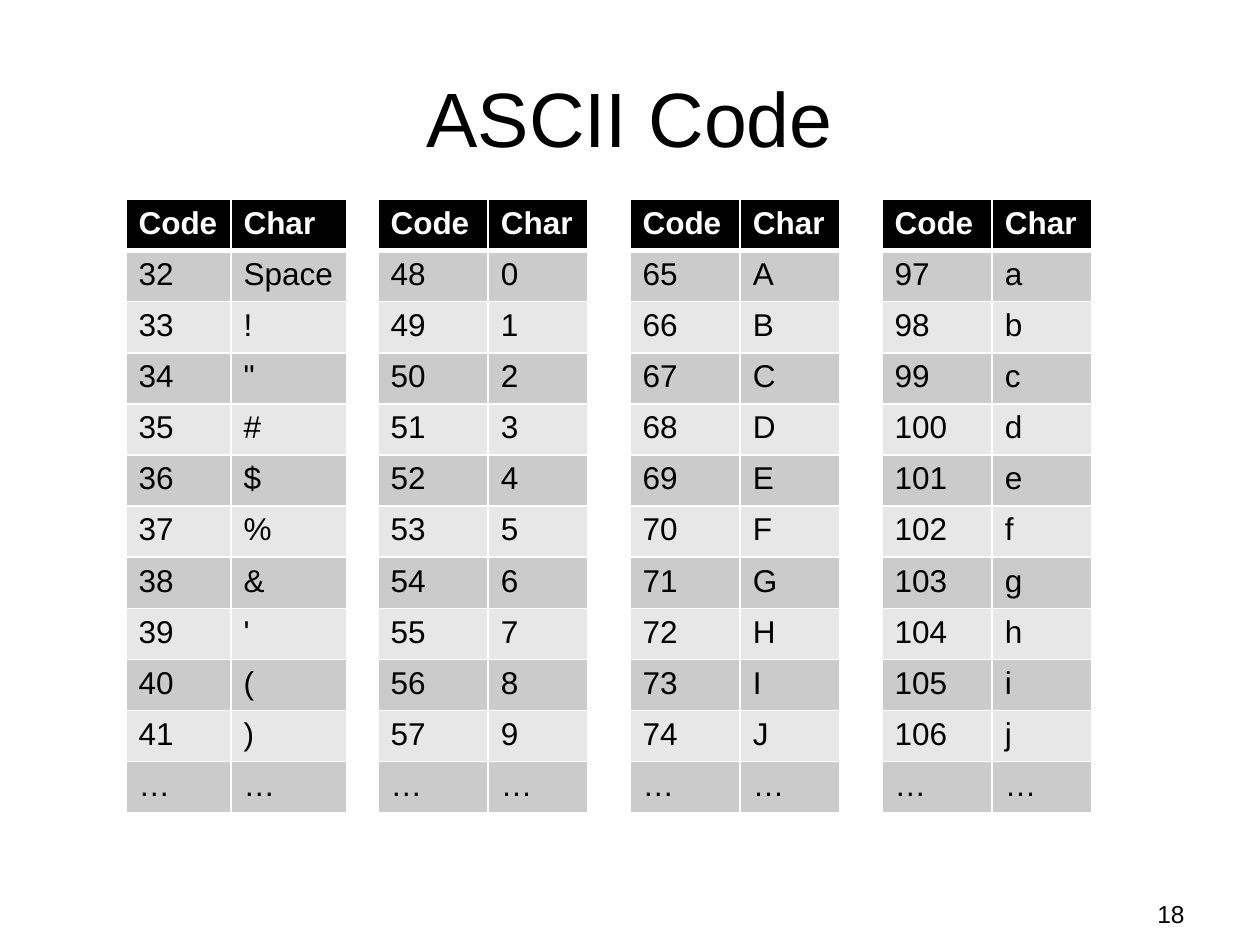
from dataclasses import dataclass
from lxml.etree import SubElement
from pptx import Presentation
from pptx.dml.color import RGBColor
from pptx.enum.text import MSO_ANCHOR, PP_ALIGN
from pptx.oxml.ns import qn
from pptx.util import Pt


@dataclass(frozen=True)
class Theme:
    font: str = "Arial"
    ink: str = "000000"
    paper: str = "FFFFFF"
    bands: tuple = ("CBCBCB", "E7E7E7")
    title: int = 44
    body: int = 18
    number: int = 14
    rule: int = 1
    head_rule: int = 3


T = Theme()


def style(p, size, color, bold=False):
    f = p.font
    f.name, f.size, f.bold = T.font, Pt(size), bold
    f.color.rgb = RGBColor.from_string(color)


def add_text(s, box, text, size, align, anchor):
    tf = s.shapes.add_textbox(*map(Pt, box)).text_frame
    tf.word_wrap = True
    tf.vertical_anchor = anchor
    p = tf.paragraphs[0]
    p.text, p.alignment = text, align
    style(p, size, T.ink)


def set_borders(cell, top, bottom):
    tcPr = cell._tc.get_or_add_tcPr()
    widths = {"a:lnL": T.rule, "a:lnR": T.rule, "a:lnT": top, "a:lnB": bottom}
    for tag, width in widths.items():
        ln = SubElement(tcPr, qn(tag), w=str(Pt(width)))
        SubElement(SubElement(ln, qn("a:solidFill")), qn("a:srgbClr"), val=T.paper)


# Code table: header, consecutive codes, closing ellipsis
def add_code_table(s, left, top, col_widths, row_h, first, count=10):
    codes = range(first, first + count)
    rows = [("Code", "Char"),
            *((str(c), "Space" if c == 32 else chr(c)) for c in codes),
            ("…", "…")]
    frame = s.shapes.add_table(len(rows), 2, Pt(left), Pt(top),
                               Pt(sum(col_widths)), Pt(row_h * len(rows)))
    table = frame.table
    for col, width in zip(table.columns, col_widths):
        col.width = Pt(width)
    for i, texts in enumerate(rows):
        table.rows[i].height = Pt(row_h)
        head = i == 0
        for j, text in enumerate(texts):
            cell = table.cell(i, j)
            set_borders(cell, T.head_rule if i == 1 else T.rule,
                        T.head_rule if head else T.rule)
            cell.fill.solid()
            cell.fill.fore_color.rgb = RGBColor.from_string(
                T.ink if head else T.bands[(i - 1) % 2])
            p = cell.text_frame.paragraphs[0]
            p.text = text
            style(p, T.body, T.paper if head else T.ink, head)


# Row of tables at an even pitch
def add_code_tables(s, left, top, pitch):
    for n, first in enumerate((32, 48, 65, 97)):
        widths = (60, 66) if n == 0 else (63, 57)
        add_code_table(s, left + n * pitch, top, widths, 29.2, first)


prs = Presentation()
prs.slide_width, prs.slide_height = Pt(720), Pt(540)
s = prs.slides.add_slide(prs.slide_layouts[6])

add_text(s, (36, 21.6, 648, 90), "ASCII Code", T.title, PP_ALIGN.CENTER, MSO_ANCHOR.MIDDLE)
add_code_tables(s, 72, 114, 144)
add_text(s, (516, 510, 168, 19.5), "18", T.number, PP_ALIGN.RIGHT, MSO_ANCHOR.TOP)

prs.save("out.pptx")
